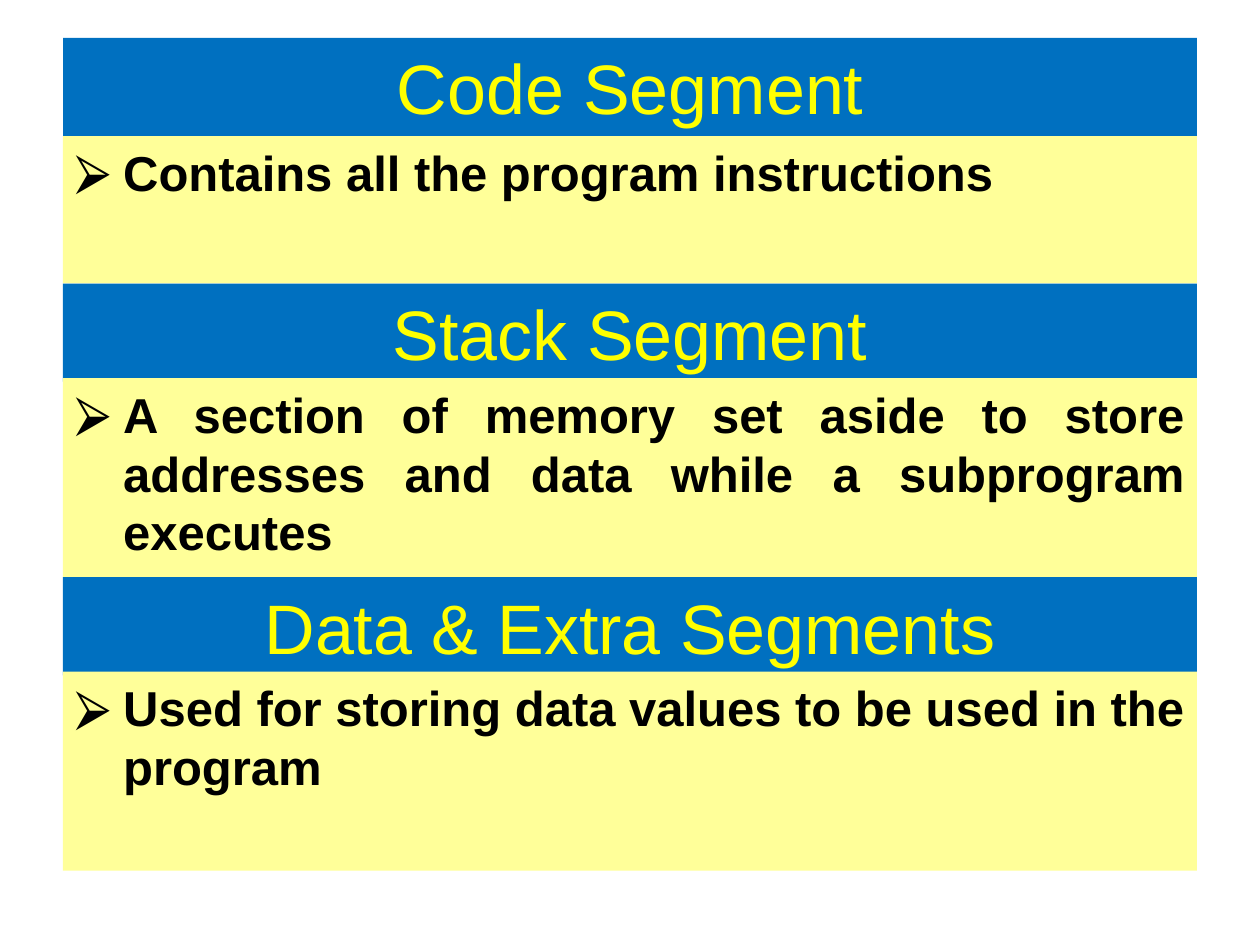
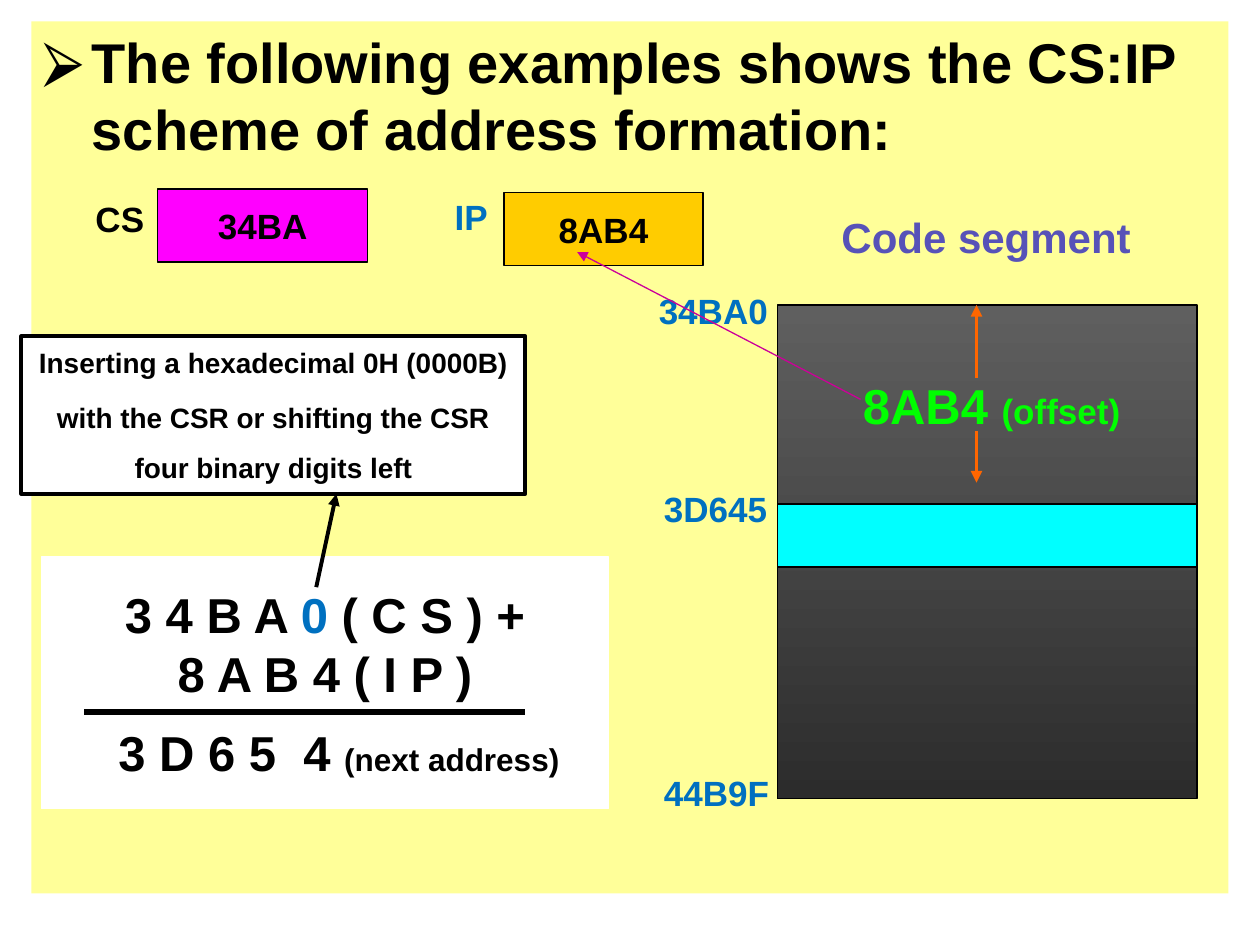
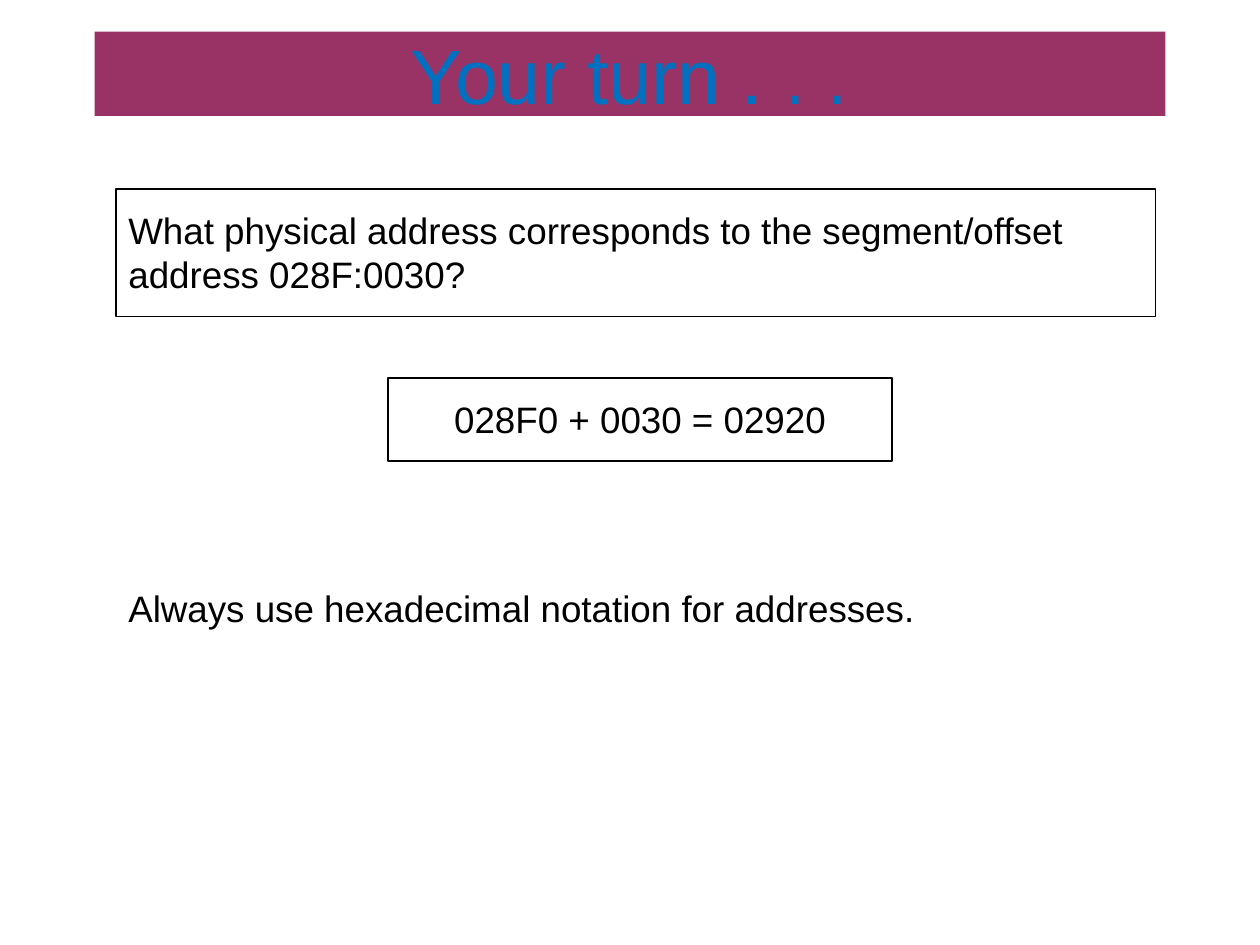
import dataclasses

import pptx
import pptx.dml.color
import pptx.enum.shapes
import pptx.enum.text
import pptx.oxml
import pptx.oxml.ns
import pptx.util
from pptx.util import Inches

ALIGN = pptx.enum.text.PP_ALIGN
ANCHOR = pptx.enum.text.MSO_ANCHOR
AUTO_SIZE = pptx.enum.text.MSO_AUTO_SIZE
TITLE_ONLY, BLANK = 5, 6


@dataclasses.dataclass(frozen=True)
class Theme:
    font: str = "Arial"
    black: str = "000000"
    white: str = "FFFFFF"
    blue: str = "0070C0"
    yellow: str = "FFFF00"
    cream: str = "FFFF99"
    magenta: str = "FF00FF"
    amber: str = "FFCC00"
    cyan: str = "00FFFF"
    plum: str = "993366"
    violet: str = "5752B8"
    green: str = "00FF00"
    orange: str = "FF6600"
    pink: str = "CC0099"
    memory: tuple = ("5F5F5F", "2C2C2C")
    turn_title: int = 44
    band_title: int = 40
    intro: int = 32
    body: int = 28
    heading: int = 24
    question: int = 21
    label: int = 20
    remark: int = 18
    note: int = 16
    hairline: float = 0.75
    medium: float = 2.25
    thick: float = 3


THEME = Theme()


def rgb(value):
    return pptx.dml.color.RGBColor.from_string(value)


def apply_format(target, values):
    for name, value in values.items():
        setattr(target, name, value)


def add_bullet(paragraph):
    properties = paragraph._p.get_or_add_pPr()
    apply_indent(paragraph, 0.38, -0.38)
    namespace = pptx.oxml.ns.nsdecls("a")
    for xml in (
        f'<a:buClr {namespace}><a:srgbClr val="{THEME.black}"/></a:buClr>',
        f'<a:buFont {namespace} typeface="{THEME.font}"/>',
        f'<a:buChar {namespace} char="⮚"/>',
    ):
        properties.append(pptx.oxml.parse_xml(xml))


def apply_indent(paragraph, left, first=0.0):
    properties = paragraph._p.get_or_add_pPr()
    properties.set("marL", str(Inches(left)))
    properties.set("indent", str(Inches(first)))


def write_text(shape, paragraphs, size, color=THEME.black, bold=True,
               align=ALIGN.LEFT, anchor=ANCHOR.TOP, inset=0.05, bullet=False):
    """Fill a shape; a paragraph is a string or a list of (text, size, color) runs."""
    frame = shape.text_frame
    apply_format(frame, {
        "word_wrap": True,
        "auto_size": AUTO_SIZE.NONE,
        "vertical_anchor": anchor,
        "margin_left": Inches(0.1),
        "margin_right": Inches(0.1),
        "margin_top": Inches(inset),
        "margin_bottom": Inches(inset),
    })
    for index, content in enumerate(paragraphs):
        paragraph = frame.add_paragraph() if index else frame.paragraphs[0]
        paragraph.alignment = align
        if bullet:
            add_bullet(paragraph)
        runs = [(content, size, color)] if isinstance(content, str) else content
        for text, run_size, run_color in runs:
            run = paragraph.add_run()
            run.text = text
            apply_format(run.font, {
                "name": THEME.font,
                "size": pptx.util.Pt(run_size),
                "bold": bold,
            })
            run.font.color.rgb = rgb(run_color)
    return frame


def add_box(slide, at, fill=None, line=None, width=THEME.hairline):
    """Add a rectangle; a tuple as fill makes a gradient running downwards."""
    shape = slide.shapes.add_shape(
        pptx.enum.shapes.MSO_SHAPE.RECTANGLE, *map(Inches, at))
    shape.shadow.inherit = False
    if isinstance(fill, tuple):
        shape.fill.gradient()
        shape.fill.gradient_angle = 270
        for stop, color in zip(shape.fill.gradient_stops, fill):
            stop.color.rgb = rgb(color)
    elif fill:
        shape.fill.solid()
        shape.fill.fore_color.rgb = rgb(fill)
    else:
        shape.fill.background()
    if line:
        shape.line.color.rgb = rgb(line)
        shape.line.width = pptx.util.Pt(width)
    else:
        shape.line.fill.background()
    return shape


def add_text_box(slide, at, paragraphs, size, **text_format):
    shape = slide.shapes.add_textbox(*map(Inches, at))
    write_text(shape, paragraphs, size, **text_format)


def set_title(slide, at, text, fill, size, color):
    title = slide.shapes.title
    apply_format(title, dict(zip(("left", "top", "width", "height"), map(Inches, at))))
    title.fill.solid()
    title.fill.fore_color.rgb = rgb(fill)
    write_text(title, [text], size, color, bold=False,
               align=ALIGN.CENTER, anchor=ANCHOR.MIDDLE)


def add_line(slide, start, end, color, width, arrow=False):
    connector = slide.shapes.add_connector(
        pptx.enum.shapes.MSO_CONNECTOR.STRAIGHT, *map(Inches, start + end))
    connector.line.color.rgb = rgb(color)
    connector.line.width = pptx.util.Pt(width)
    namespace = pptx.oxml.ns.nsdecls("a")
    if arrow:
        connector.line._get_or_add_ln().append(
            pptx.oxml.parse_xml(f'<a:tailEnd {namespace} type="triangle"/>'))
    connector._element.spPr.append(pptx.oxml.parse_xml(f"<a:effectLst {namespace}/>"))


def build_segments(presentation):
    slide = presentation.slides.add_slide(presentation.slide_layouts[TITLE_ONLY])
    left, width, band_height = 0.5, 9, 0.78
    sections = [
        ("Code Segment", 0.3, 1.08, 1.17, "Contains all the program instructions"),
        ("Stack Segment", 2.25, 3, 1.58,
         "A section of memory set aside to store addresses and data "
         "while a subprogram executes"),
        ("Data & Extra Segments", 4.58, 5.33, 1.58,
         "Used for storing data values to be used in the program"),
    ]
    for index, (heading, band_top, body_top, body_height, text) in enumerate(sections):
        band = (left, band_top, width, band_height)
        if index == 0:
            set_title(slide, band, heading, THEME.blue, THEME.band_title, THEME.yellow)
        else:
            write_text(add_box(slide, band, THEME.blue), [heading],
                       THEME.band_title, THEME.yellow, bold=False,
                       align=ALIGN.CENTER, anchor=ANCHOR.MIDDLE)
        body = add_box(slide, (left, body_top, width, body_height), THEME.cream)
        write_text(body, [text], THEME.body, align=ALIGN.JUSTIFY, bullet=True)


def add_shift_note(slide):
    box = add_box(slide, (0.17, 2.67, 4, 1.25), THEME.white, THEME.black, THEME.medium)
    frame = write_text(box, [
        "Inserting a hexadecimal 0H (0000B)",
        "with the CSR or shifting the CSR",
        "four binary digits left",
    ], THEME.note, align=ALIGN.CENTER, anchor=ANCHOR.MIDDLE)
    for paragraph, gap in zip(frame.paragraphs[1:], (12, 9.5)):
        paragraph.space_before = pptx.util.Pt(gap)


def add_address_sum(slide):
    box = add_box(slide, (0.33, 4.42, 4.5, 2), THEME.white, THEME.white)
    frame = write_text(box, [
        [("3 4 B A ", THEME.body, THEME.black),
         ("0", THEME.body, THEME.blue),
         (" ( C S ) +", THEME.body, THEME.black)],
        "8 A B 4 ( I P )",
        [("3 D 6 5  4 ", THEME.body, THEME.black),
         ("(next address)", THEME.remark, THEME.black)],
    ], THEME.body, align=ALIGN.CENTER, anchor=ANCHOR.MIDDLE)
    result = frame.paragraphs[2]
    result.space_before = pptx.util.Pt(12)
    apply_indent(result, 0.22)


def build_address_example(presentation):
    slide = presentation.slides.add_slide(presentation.slide_layouts[BLANK])
    panel = add_box(slide, (0.25, 0.17, 9.5, 6.92), THEME.cream)
    write_text(panel, ["The following examples shows the CS:IP scheme of address formation:"],
               THEME.intro, bullet=True)
    add_shift_note(slide)
    add_address_sum(slide)

    registers = [
        ("34BA", (1.25, 1.5, 1.67, 0.58), THEME.magenta),
        ("8AB4", (4, 1.53, 1.58, 0.58), THEME.amber),
    ]
    for value, at, fill in registers:
        write_text(add_box(slide, at, fill, THEME.black), [value], THEME.label,
                   align=ALIGN.CENTER, anchor=ANCHOR.MIDDLE)

    add_box(slide, (6.17, 2.42, 3.33, 3.92), THEME.memory, THEME.black)
    add_box(slide, (6.17, 4, 3.33, 0.5), THEME.cyan, THEME.black)

    labels = [
        ("CS", 0.66, 1.52, 0.67, THEME.black),
        ("IP", 3.51, 1.5, 0.58, THEME.blue),
        ("34BA0", 5.13, 2.25, 1.15, THEME.blue),
        ("3D645", 5.17, 3.82, 1.17, THEME.blue),
        ("44B9F", 5.17, 6.07, 1.25, THEME.blue),
    ]
    for text, left, top, width, color in labels:
        add_text_box(slide, (left, top, width, 0.43), [text], THEME.label, color=color)
    add_text_box(slide, (6.58, 1.63, 2.67, 0.5), ["Code segment"],
                 THEME.heading, color=THEME.violet)
    offset = [("8AB4 ", THEME.body, THEME.green), ("(offset)", THEME.label, THEME.green)]
    add_text_box(slide, (6.75, 2.93, 2.33, 0.57), [offset], THEME.body)

    add_line(slide, (0.67, 5.65), (4.17, 5.65), THEME.black, THEME.thick)
    arrows = [
        ((7.75, 3), (7.75, 2.42), THEME.orange, THEME.medium),
        ((7.75, 3.42), (7.75, 3.83), THEME.orange, THEME.medium),
        ((2.51, 4.66), (2.67, 3.92), THEME.black, THEME.medium),
        ((6.83, 3.17), (4.58, 2), THEME.pink, THEME.hairline),
    ]
    for start, end, color, width in arrows:
        add_line(slide, start, end, color, width, arrow=True)


def build_your_turn(presentation):
    slide = presentation.slides.add_slide(presentation.slide_layouts[TITLE_ONLY])
    set_title(slide, (0.75, 0.25, 8.5, 0.67), "Your turn . . .",
              THEME.plum, THEME.turn_title, THEME.blue)
    text_format = {"size": THEME.question, "bold": False, "inset": 0.15}
    question = add_box(slide, (0.92, 1.5, 8.25, 1.01), line=THEME.black)
    write_text(question, ["What physical address corresponds to the segment/offset "
                          "address 028F:0030?"], **text_format)
    answer = add_box(slide, (3.08, 3, 4, 0.66), line=THEME.black)
    write_text(answer, ["028F0 + 0030 = 02920"], align=ALIGN.CENTER, **text_format)
    add_text_box(slide, (0.92, 4.5, 7.33, 0.65),
                 ["Always use hexadecimal notation for addresses."], **text_format)


def main():
    presentation = pptx.Presentation()
    apply_format(presentation, {"slide_width": Inches(10), "slide_height": Inches(7.5)})
    build_segments(presentation)
    build_address_example(presentation)
    build_your_turn(presentation)
    presentation.save("out.pptx")


if __name__ == "__main__":
    main()
